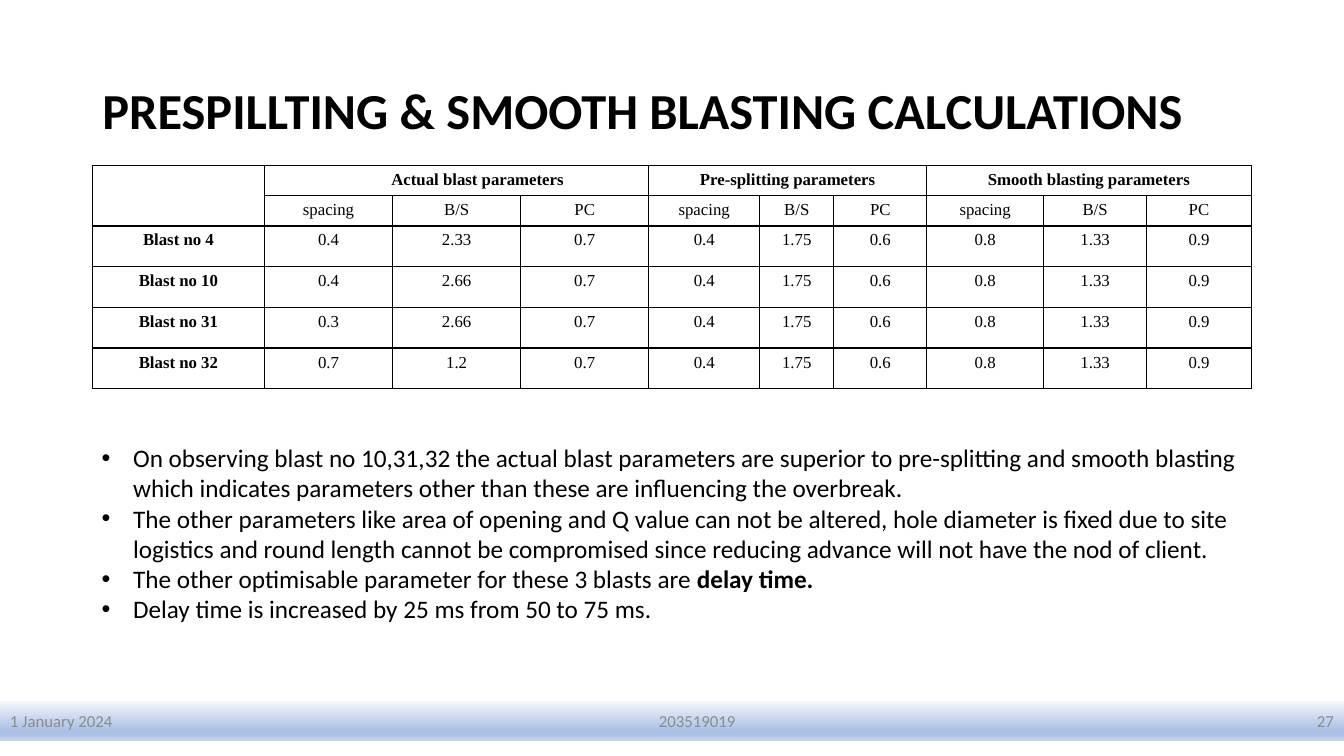
"""Build the pre-splitting and smooth blasting calculations slide."""
import pptx
import pptx.dml.color
import pptx.enum.shapes
import pptx.enum.text
import pptx.oxml
import pptx.oxml.ns
import pptx.util

Pt = pptx.util.Pt
ALIGN = pptx.enum.text.PP_ALIGN
ANCHOR = pptx.enum.text.MSO_ANCHOR
NAMESPACE = pptx.oxml.ns.nsdecls("a")

TITLE = "PRESPILLTING & SMOOTH BLASTING CALCULATIONS"
GROUPS = ["Actual blast parameters", "Pre-splitting parameters", "Smooth blasting parameters"]
MEASURES = ["spacing", "B/S", "PC"]
BLASTS = [
    ("Blast no 4", "0.4", "2.33", "0.7"),
    ("Blast no 10", "0.4", "2.66", "0.7"),
    ("Blast no 31", "0.3", "2.66", "0.7"),
    ("Blast no 32", "0.7", "1.2", "0.7"),
]
TARGETS = ("0.4", "1.75", "0.6", "0.8", "1.33", "0.9")
COLUMN_WIDTHS = [123, 91.5, 91.5, 91.5, 79.3, 52.9, 66.4, 83.5, 73.6, 74.8]
ROW_HEIGHTS = [21.7, 21.7] + [29.1] * len(BLASTS)
BULLETS = [
    [("On observing blast no 10,31,32 the actual blast parameters are superior to pre-splitting "
      "and smooth blasting which indicates parameters other than these are influencing the "
      "overbreak.", False)],
    [("The other parameters like area of opening and Q value can not be altered, hole diameter "
      "is fixed due to site logistics and round length cannot be compromised since reducing "
      "advance will not have the nod of client.", False)],
    [("The other optimisable parameter for these 3 blasts are ", False), ("delay time.", True)],
    [("Delay time is increased by 25 ms from 50 to 75 ms.", False)],
]
FOOTERS = [
    ("1 January 2024", 318, ALIGN.LEFT),
    ("203519019", 360, ALIGN.CENTER),
    ("27", 282, ALIGN.RIGHT),
]
FOOTER_STOPS = [(0, "F6F8FC"), (74, "ABC0E4"), (83, "ABC0E4"), (100, "C7D5ED")]


def color(value):
    return pptx.dml.color.RGBColor.from_string(value)


def format_paragraph(paragraph, size, name="Calibri", tint="000000", bold=None, align=ALIGN.LEFT):
    paragraph.alignment = align
    font = paragraph.font
    font.size, font.name, font.bold = Pt(size), name, bold
    font.color.rgb = color(tint)


def add_title(slide):
    title = slide.shapes.title
    title.left, title.top, title.width, title.height = Pt(66), Pt(28.75), Pt(828), Pt(104.4)
    title.text_frame.text = TITLE
    title.text_frame.vertical_anchor = ANCHOR.MIDDLE
    paragraph = title.text_frame.paragraphs[0]
    paragraph.line_spacing = 0.9
    format_paragraph(paragraph, 36, bold=True)


def format_cell(cell, text, bold):
    cell.text = text
    cell.vertical_anchor = ANCHOR.TOP
    format_paragraph(cell.text_frame.paragraphs[0], 12, "Times New Roman", bold=bold,
                     align=ALIGN.CENTER)
    cell.fill.solid()
    cell.fill.fore_color.rgb = color("FFFFFF")
    properties = cell._tc.get_or_add_tcPr()
    for index, side in enumerate("LRTB"):
        properties.insert(index, pptx.oxml.parse_xml(
            f'<a:ln{side} {NAMESPACE} w="{Pt(1)}"><a:solidFill><a:srgbClr val="000000"/>'
            f'</a:solidFill></a:ln{side}>'))


def add_blast_table(slide):
    span = len(MEASURES)
    group_row = [""]
    for group in GROUPS:
        group_row += [group] + [""] * (span - 1)
    rows = [group_row, [""] + MEASURES * len(GROUPS)] + [blast + TARGETS for blast in BLASTS]
    table = slide.shapes.add_table(len(rows), len(COLUMN_WIDTHS), Pt(66), Pt(118),
                                   Pt(sum(COLUMN_WIDTHS)), Pt(sum(ROW_HEIGHTS))).table
    table.first_row = table.horz_banding = False
    for column, width in zip(table.columns, COLUMN_WIDTHS):
        column.width = Pt(width)
    for row, height in zip(table.rows, ROW_HEIGHTS):
        row.height = Pt(height)
    for row_index, row in enumerate(rows):
        for column_index, text in enumerate(row):
            format_cell(table.cell(row_index, column_index), text,
                        row_index == 0 or column_index == 0)
    table.cell(0, 0).merge(table.cell(1, 0))
    for first in range(1, len(COLUMN_WIDTHS), span):
        table.cell(0, first).merge(table.cell(0, first + span - 1))
    table.cell(0, 1).margin_left = Pt(37.2)


def add_footer(slide):
    stops = "".join(f'<a:gs pos="{position * 1000}"><a:srgbClr val="{tint}"/></a:gs>'
                    for position, tint in FOOTER_STOPS)
    left = 0
    for text, width, align in FOOTERS:
        shape = slide.shapes.add_shape(pptx.enum.shapes.MSO_SHAPE.RECTANGLE,
                                       Pt(left), Pt(500.5), Pt(width), Pt(28.75))
        shape.shadow.inherit = False
        shape.line.fill.background()
        shape._element.spPr.insert(2, pptx.oxml.parse_xml(
            f'<a:gradFill {NAMESPACE} rotWithShape="1"><a:gsLst>{stops}</a:gsLst>'
            '<a:lin ang="5400000" scaled="0"/></a:gradFill>'))
        shape.text_frame.text = text
        shape.text_frame.vertical_anchor = ANCHOR.MIDDLE
        format_paragraph(shape.text_frame.paragraphs[0], 12, tint="8C8C8C", align=align)
        left += width


def add_findings(slide):
    frame = slide.shapes.add_textbox(Pt(65.5), Pt(312.5), Pt(852.5), Pt(138.2)).text_frame
    frame.word_wrap = True
    for index, runs in enumerate(BULLETS):
        paragraph = frame.add_paragraph() if index else frame.paragraphs[0]
        format_paragraph(paragraph, 18)
        for text, bold in runs:
            run = paragraph.add_run()
            run.text, run.font.bold = text, bold
        properties = paragraph._p.get_or_add_pPr()
        properties.set("marL", str(Pt(22.5)))
        properties.set("indent", str(Pt(-22.5)))
        properties.insert(0, pptx.oxml.parse_xml(f'<a:buFont {NAMESPACE} typeface="Arial"/>'))
        properties.insert(1, pptx.oxml.parse_xml(f'<a:buChar {NAMESPACE} char="•"/>'))


def main():
    presentation = pptx.Presentation()
    presentation.slide_width, presentation.slide_height = Pt(960), Pt(540)
    slide = presentation.slides.add_slide(presentation.slide_layouts[5])
    add_title(slide)
    add_blast_table(slide)
    add_footer(slide)
    add_findings(slide)
    presentation.save("out.pptx")


if __name__ == "__main__":
    main()
